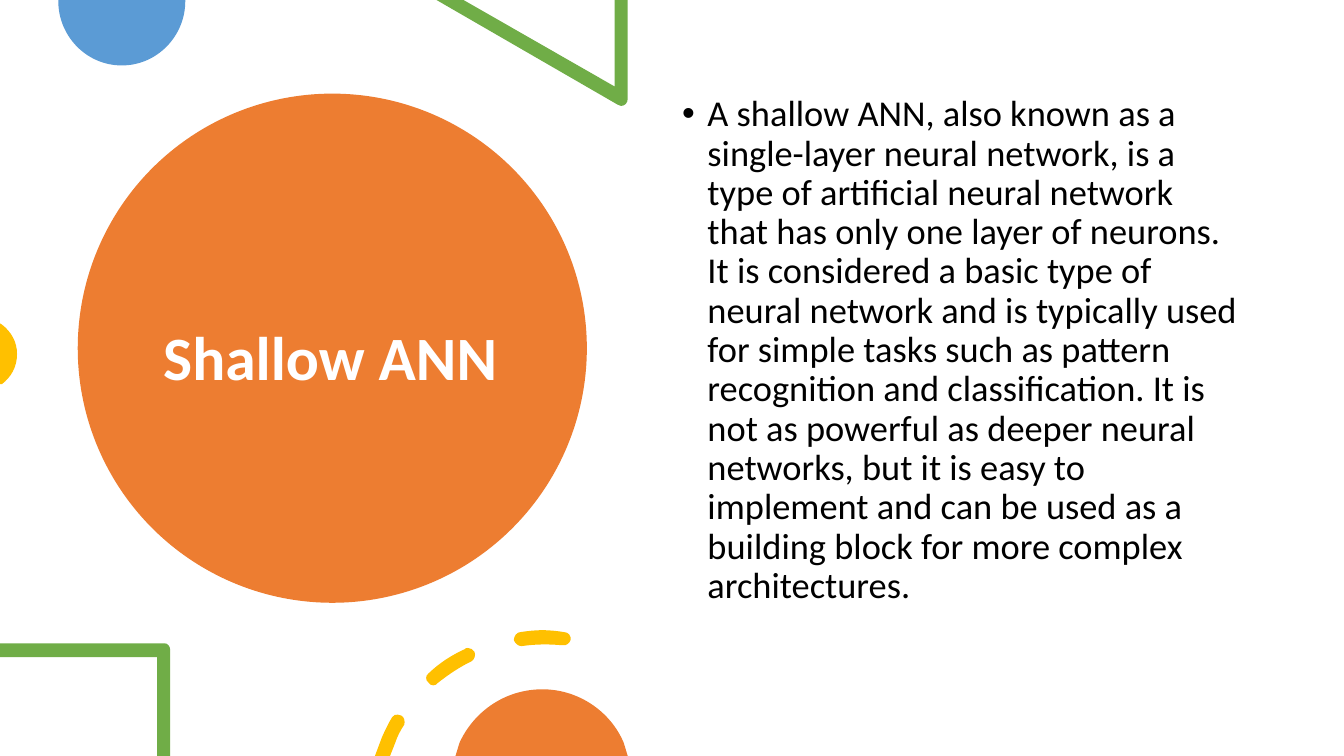
from lxml.etree import SubElement
from pptx import Presentation
from pptx.dml.color import RGBColor
from pptx.enum.shapes import MSO_SHAPE
from pptx.enum.text import MSO_ANCHOR, MSO_AUTO_SIZE, PP_ALIGN
from pptx.oxml.ns import qn
from pptx.util import Cm, Pt

FONT = "Calibri"
ORANGE, BLUE, GREEN, YELLOW = "ED7D31", "5B9BD5", "70AD47", "FFC000"
WHITE, BLACK = "FFFFFF", "000000"

TITLE = "Shallow ANN"
BODY = (
    "A shallow ANN, also known as a single-layer neural network, is a type of "
    "artificial neural network that has only one layer of neurons. It is considered "
    "a basic type of neural network and is typically used for simple tasks such as "
    "pattern recognition and classification. It is not as powerful as deeper neural "
    "networks, but it is easy to implement and can be used as a building block for "
    "more complex architectures."
)

# Outlines in cm: a pair is a line to a point, six numbers are a cubic curve.
BLUE_DISC = [
    (4.67, 0), (1.47, 0), (1.47, 0.03),
    (1.47, 0.91, 2.18, 1.65, 3.07, 1.65), (3.96, 1.65, 4.67, 0.91, 4.67, 0.03),
]
GREEN_TRIANGLE = [
    (15.82, 0), (15.49, 0), (15.49, 2.18), (11.68, 0), (11, 0), (15.57, 2.64),
    (15.6, 2.67, 15.62, 2.67, 15.65, 2.67), (15.75, 2.67, 15.82, 2.59, 15.82, 2.49),
]
YELLOW_DISC = [
    (0, 8.15), (0, 9.68), (0.05, 9.68),
    (0.28, 9.5, 0.43, 9.25, 0.43, 8.92), (0.43, 8.61, 0.28, 8.36, 0.05, 8.18),
]
GREEN_CORNER = [
    (4.14, 16.21), (0, 16.21), (0, 16.56), (3.96, 16.56), (3.96, 19.05),
    (4.29, 19.05), (4.29, 16.38), (4.29, 16.28, 4.22, 16.21, 4.14, 16.21),
]
LOW_DASH = [
    (10.03, 18.01), (9.98, 17.98, 9.91, 18.03, 9.88, 18.08),
    (9.78, 18.24, 9.7, 18.42, 9.63, 18.57), (9.45, 19.05), (9.83, 19.05),
    (9.96, 18.72), (10.01, 18.57, 10.08, 18.42, 10.19, 18.26),
    (10.21, 18.19, 10.19, 18.06, 10.11, 18.03),
    (10.08, 18.01, 10.06, 18.01, 10.03, 18.01),
]
MIDDLE_DASH = [
    (11.79, 16.33), (11.76, 16.33, 11.73, 16.33, 11.71, 16.36),
    (11.38, 16.51, 11.07, 16.71, 10.8, 16.97),
    (10.72, 17.02, 10.72, 17.15, 10.8, 17.2),
    (10.82, 17.25, 10.87, 17.27, 10.92, 17.27), (10.92, 17.27),
    (10.97, 17.27, 11, 17.25, 11.02, 17.22),
    (11.3, 17, 11.58, 16.81, 11.89, 16.66),
    (11.96, 16.61, 11.99, 16.51, 11.96, 16.43),
    (11.91, 16.36, 11.86, 16.33, 11.79, 16.33),
]
TOP_DASH = [
    (13.67, 15.88), (13.49, 15.88, 13.31, 15.9, 13.11, 15.93),
    (13.03, 15.93, 12.95, 16.03, 12.95, 16.13),
    (12.98, 16.21, 13.06, 16.28, 13.13, 16.28),
    (13.16, 16.28, 13.16, 16.28, 13.16, 16.28),
    (13.51, 16.23, 13.84, 16.23, 14.17, 16.26),
    (14.27, 16.28, 14.35, 16.21, 14.38, 16.13),
    (14.4, 16.03, 14.33, 15.93, 14.22, 15.93),
    (14.22, 15.93, 14.22, 15.93, 14.22, 15.93),
    (14.05, 15.9, 13.84, 15.88, 13.67, 15.88),
]
ORANGE_DISC = [
    (13.67, 17.37), (12.73, 17.37, 11.94, 17.93, 11.58, 18.72), (11.48, 19.05),
    (15.82, 19.05), (15.72, 18.72), (15.39, 17.93, 14.58, 17.37, 13.67, 17.37),
]
UPPER_ACCENTS = [
    (BLUE, [BLUE_DISC]),
    (GREEN, [GREEN_TRIANGLE]),
    (YELLOW, [YELLOW_DISC]),
]
LOWER_ACCENTS = [
    (GREEN, [GREEN_CORNER]),
    (YELLOW, [LOW_DASH, MIDDLE_DASH, TOP_DASH]),
    (ORANGE, [ORANGE_DISC]),
]


def color(value):
    return RGBColor.from_string(value)


def paint(shape, fill):
    shape.shadow.inherit = False
    shape.fill.solid()
    shape.fill.fore_color.rgb = color(fill)
    shape.line.fill.background()


def bend(shape, outlines):
    """Merge each three line steps that hold one curve into a cubic curve."""
    lines = iter(list(shape.element.iter(qn("a:lnTo"))))
    for outline in outlines:
        for step in outline[1:]:
            segment = next(lines)
            if len(step) == 6:
                segment.tag = qn("a:cubicBezTo")
                for extra in (next(lines), next(lines)):
                    segment.append(extra[0])
                    extra.getparent().remove(extra)


def add_accent(page, fill, outlines):
    start_x, start_y = outlines[0][0]
    builder = page.shapes.build_freeform(Cm(start_x), Cm(start_y))
    for number, outline in enumerate(outlines):
        points = [
            (Cm(step[i]), Cm(step[i + 1]))
            for step in outline for i in range(0, len(step), 2)
        ]
        if number:
            builder.move_to(*points[0])
        builder.add_line_segments(points[1:], close=True)
    shape = builder.convert_to_shape()
    bend(shape, outlines)
    paint(shape, fill)


def write(box, text, size, ink, anchor, bold=False):
    frame = box.text_frame
    frame.word_wrap = True
    frame.auto_size = MSO_AUTO_SIZE.NONE
    frame.vertical_anchor = anchor
    para = frame.paragraphs[0]
    para.alignment = PP_ALIGN.LEFT
    para.line_spacing = 0.9
    span = para.add_run()
    span.text = text
    span.font.name = FONT
    span.font.size = Pt(size)
    span.font.bold = bold
    span.font.color.rgb = color(ink)
    return para


def add_bullet(para, indent):
    properties = para._p.get_or_add_pPr()
    properties.set("marL", str(indent))
    properties.set("indent", str(-indent))
    SubElement(properties, qn("a:buFont")).set("typeface", "Arial")
    SubElement(properties, qn("a:buChar")).set("char", "•")


def main():
    deck = Presentation()
    deck.slide_width, deck.slide_height = Cm(33.87), Cm(19.05)
    page = deck.slides.add_slide(deck.slide_layouts[5])

    title = page.shapes.title
    title.left, title.top, title.width, title.height = Cm(3.86), Cm(3.43), Cm(8.99), Cm(11.3)
    write(title, TITLE, 44, WHITE, MSO_ANCHOR.MIDDLE, bold=True)
    circle = page.shapes.add_shape(
        MSO_SHAPE.OVAL, Cm(1.96), Cm(2.36), Cm(12.83), Cm(12.83))
    paint(circle, ORANGE)
    title.element.addprevious(circle.element)

    for fill, outlines in UPPER_ACCENTS:
        add_accent(page, fill, outlines)

    body = page.shapes.add_textbox(Cm(16.94), Cm(2.28), Cm(14.61), Cm(13.59))
    para = write(body, BODY, 26, BLACK, MSO_ANCHOR.TOP)
    para.space_before = Pt(10)
    add_bullet(para, Cm(0.64))

    for fill, outlines in LOWER_ACCENTS:
        add_accent(page, fill, outlines)

    deck.save("out.pptx")


if __name__ == "__main__":
    main()
